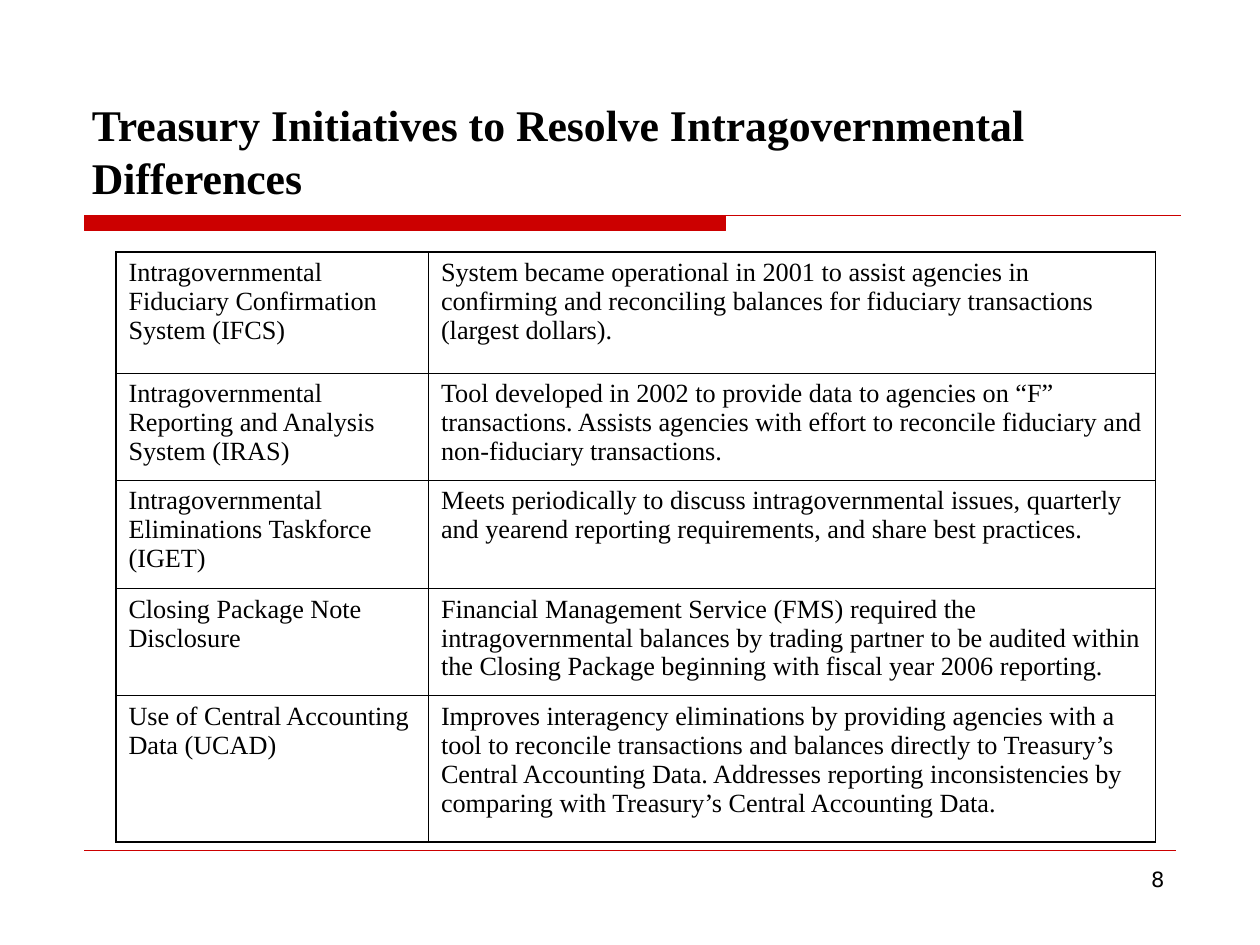
from dataclasses import dataclass

from lxml import etree
from pptx import Presentation
from pptx import util as u
from pptx.dml.color import RGBColor
from pptx.enum import shapes, text
from pptx.oxml.ns import qn

COLORS = {"red": "CC0000", "black": "000000"}
SERIF = "Times New Roman"
OUTER, INNER = 1.08, 0.45


@dataclass
class Initiative:
    name: str
    description: str
    height: float


INITIATIVES = [
    Initiative(
        "Intragovernmental Fiduciary Confirmation System (IFCS)",
        "System became operational in 2001 to assist agencies in confirming and "
        "reconciling balances for fiduciary transactions (largest dollars).",
        0.96,
    ),
    Initiative(
        "Intragovernmental Reporting and Analysis System (IRAS)",
        "Tool developed in 2002 to provide data to agencies on “F” transactions. "
        "Assists agencies with effort to reconcile fiduciary and non-fiduciary transactions.",
        0.85,
    ),
    Initiative(
        "Intragovernmental Eliminations Taskforce (IGET)",
        "Meets periodically to discuss intragovernmental issues, quarterly and "
        "yearend reporting requirements, and share best practices.",
        0.86,
    ),
    Initiative(
        "Closing Package Note Disclosure",
        "Financial Management Service (FMS) required the intragovernmental balances "
        "by trading partner to be audited within the Closing Package beginning with "
        "fiscal year 2006 reporting.",
        0.85,
    ),
    Initiative(
        "Use of Central Accounting Data (UCAD)",
        "Improves interagency eliminations by providing agencies with a tool to "
        "reconcile transactions and balances directly to Treasury’s Central Accounting "
        "Data. Addresses reporting inconsistencies by comparing with Treasury’s Central "
        "Accounting Data.",
        1.16,
    ),
]


def color(name: str) -> RGBColor:
    return RGBColor.from_string(COLORS[name])


def set_font(paragraph, name: str, size: float, bold: bool = False) -> None:
    font = paragraph.font
    font.name, font.size, font.bold = name, u.Pt(size), bold
    font.color.rgb = color("black")


def set_borders(cell, widths: dict[str, float]) -> None:
    properties = cell._tc.get_or_add_tcPr()
    for index, (side, width) in enumerate(widths.items()):
        line = etree.Element(qn(f"a:{side}"), w=str(u.Pt(width)))
        fill = etree.SubElement(line, qn("a:solidFill"))
        etree.SubElement(fill, qn("a:srgbClr"), val=COLORS["black"])
        properties.insert(index, line)


def add_title(slide) -> None:
    title = slide.shapes.title
    title.left, title.top = u.Inches(0.63), u.Inches(0.33)
    title.width, title.height = u.Inches(8.75), u.Inches(1.33)
    frame = title.text_frame
    frame.text = "Treasury Initiatives to Resolve Intragovernmental Differences"
    frame.auto_size = text.MSO_AUTO_SIZE.NONE
    frame.vertical_anchor = text.MSO_ANCHOR.BOTTOM
    paragraph = frame.paragraphs[0]
    paragraph.alignment = text.PP_ALIGN.LEFT
    set_font(paragraph, SERIF, 25, bold=True)


def add_rules(slide) -> None:
    left, top, bar_right, bar_bottom, right = 67, 171, 576, 183, 937
    builder = slide.shapes.build_freeform(left, top, scale=u.Inches(0.01))
    builder.add_line_segments([(bar_right, top), (bar_right, bar_bottom), (left, bar_bottom)])
    builder.move_to(left, top)
    builder.add_line_segments([(right, top)], close=False)
    title_rule = builder.convert_to_shape()
    title_rule.shadow.inherit = False
    title_rule.fill.solid()
    title_rule.fill.fore_color.rgb = color("red")
    title_rule.line.color.rgb = color("red")
    title_rule.line.width = u.Pt(0.75)

    footer_rule = slide.shapes.add_connector(
        shapes.MSO_CONNECTOR.STRAIGHT,
        u.Inches(0.67), u.Inches(6.75), u.Inches(9.33), u.Inches(6.75),
    )
    footer_rule.line.color.rgb = color("red")
    footer_rule.line.width = u.Pt(0.25)
    etree.SubElement(footer_rule._element.spPr, qn("a:effectLst"))


def add_page_number(slide, number: int) -> None:
    box = slide.shapes.add_textbox(u.Inches(7.17), u.Inches(6.83), u.Inches(2.17), u.Inches(0.52))
    frame = box.text_frame
    frame.word_wrap = True
    frame.text = str(number)
    paragraph = frame.paragraphs[0]
    paragraph.alignment = text.PP_ALIGN.RIGHT
    set_font(paragraph, "DejaVu Sans", 12)


def add_initiatives_table(slide, initiatives: list[Initiative]) -> None:
    column_widths = [2.48, 5.77]
    last_row, last_column = len(initiatives) - 1, len(column_widths) - 1
    table = slide.shapes.add_table(
        len(initiatives), len(column_widths), u.Inches(0.92), u.Inches(2),
        u.Inches(sum(column_widths)), u.Inches(sum(item.height for item in initiatives)),
    ).table
    table.first_row = table.horz_banding = False
    for column, width in zip(table.columns, column_widths):
        column.width = u.Inches(width)

    for row, item in enumerate(initiatives):
        table.rows[row].height = u.Inches(item.height)
        for column, wording in enumerate((item.name, item.description)):
            cell = table.cell(row, column)
            cell.text = wording
            cell.fill.background()
            set_font(cell.text_frame.paragraphs[0], SERIF, 15)
            set_borders(cell, {
                "lnL": OUTER if column == 0 else INNER,
                "lnR": OUTER if column == last_column else INNER,
                "lnT": OUTER if row == 0 else INNER,
                "lnB": OUTER if row == last_row else INNER,
            })


def main() -> None:
    presentation = Presentation()
    presentation.slide_width, presentation.slide_height = u.Inches(10), u.Inches(7.5)
    slide = presentation.slides.add_slide(presentation.slide_layouts[5])
    add_rules(slide)
    add_page_number(slide, 8)
    add_title(slide)
    add_initiatives_table(slide, INITIATIVES)
    presentation.save("out.pptx")


if __name__ == "__main__":
    main()
